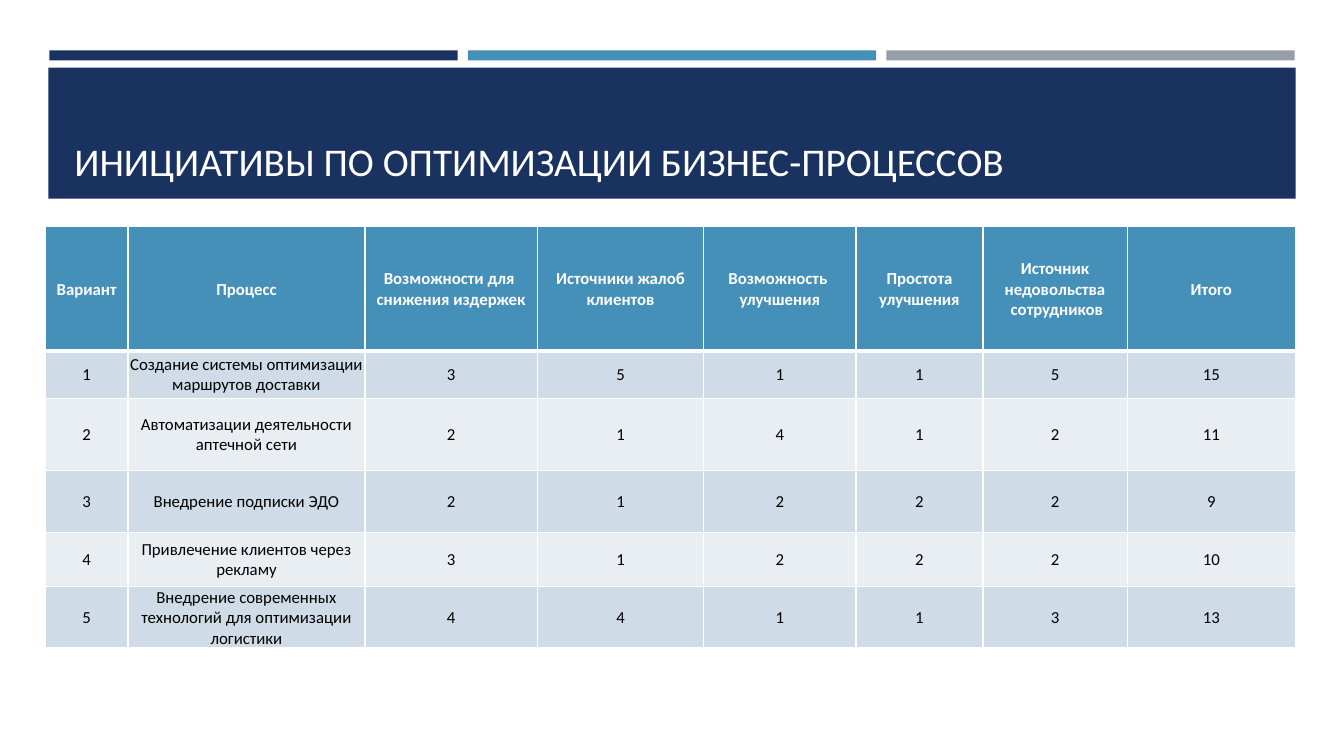
from lxml import etree
from pptx import Presentation
from pptx.dml.color import RGBColor
from pptx.enum.shapes import MSO_SHAPE
from pptx.enum.text import MSO_ANCHOR, PP_ALIGN
from pptx.oxml.ns import qn
from pptx.util import Inches, Pt

RECTANGLE = MSO_SHAPE.RECTANGLE
MIDDLE, BOTTOM = MSO_ANCHOR.MIDDLE, MSO_ANCHOR.BOTTOM
CENTER = PP_ALIGN.CENTER

TITLE = "ИНИЦИАТИВЫ ПО ОПТИМИЗАЦИИ БИЗНЕС-ПРОЦЕССОВ"
HEADER = [
    "Вариант", "Процесс", "Возможности для \vснижения издержек",
    "Источники жалоб\vклиентов", "Возможность \vулучшения",
    "Простота улучшения", "Источник недовольства\v сотрудников", "Итого",
]
INITIATIVES = [
    (1, "Создание системы оптимизации маршрутов доставки", 3, 5, 1, 1, 5, 15),
    (2, "Автоматизации деятельности аптечной сети", 2, 1, 4, 1, 2, 11),
    (3, "Внедрение подписки ЭДО", 2, 1, 2, 2, 2, 9),
    (4, "Привлечение клиентов через рекламу", 3, 1, 2, 2, 2, 10),
    (5, "Внедрение современных технологий для оптимизации логистики",
     4, 4, 1, 1, 3, 13),
]

FONT = "Calibri"
NAVY, BLUE, GRAY = "1A3260", "4590B8", "969FA7"
WHITE, BLACK = "FFFFFF", "000000"
BANDS = ["CFDBE6", "E9EEF3"]

COLUMN_WIDTHS = [0.82, 2.35, 1.71, 1.65, 1.51, 1.26, 1.43, 1.67]
ROW_HEIGHTS = [1.23, 0.47, 0.72, 0.61, 0.54, 0.61]
TABLE_LEFT, TABLE_TOP = 0.45, 2.25
STRIPE_LEFT, STRIPE_TOP, STRIPE_WIDTH, STRIPE_HEIGHT = 0.49, 0.5, 4.05, 0.1
STRIPE_STEP = 4.15
BANNER = (0.48, 0.67, 12.37, 1.3)
TITLE_AREA = (0.64, 0.77, 12.06, 1.11)
THIN, THICK = 1, 3


def color(value):
    return RGBColor.from_string(value)


def add_block(slide, area, fill):
    block = slide.shapes.add_shape(RECTANGLE, *map(Inches, area))
    block.shadow.inherit = False
    block.fill.solid()
    block.fill.fore_color.rgb = color(fill)
    block.line.fill.background()


def style_text(frame, size, text_color, bold=False):
    for paragraph in frame.paragraphs:
        for run in paragraph.runs:
            run.font.name = FONT
            run.font.size = Pt(size)
            run.font.bold = bold
            run.font.color.rgb = color(text_color)


def add_borders(cell, widths):
    """Draw white borders; widths maps L, R, T, B to points."""
    properties = cell._tc.get_or_add_tcPr()
    for side, width in widths.items():
        line = etree.SubElement(properties, qn(f"a:ln{side}"), w=str(Pt(width)))
        fill = etree.SubElement(line, qn("a:solidFill"))
        etree.SubElement(fill, qn("a:srgbClr"), val=WHITE)


def fill_cell(cell, value, row):
    is_header = row == 0
    cell.text_frame.text = str(value)
    cell.text_frame.paragraphs[0].alignment = CENTER
    style_text(cell.text_frame, 12, WHITE if is_header else BLACK, is_header)
    cell.vertical_anchor = MIDDLE
    cell.margin_left = cell.margin_right = cell.margin_top = Inches(0.01)
    cell.margin_bottom = 0
    add_borders(cell, {"L": THIN, "R": THIN,
                       "T": THICK if row == 1 else THIN,
                       "B": THICK if is_header else THIN})
    cell.fill.solid()
    cell.fill.fore_color.rgb = color(BLUE if is_header else BANDS[(row - 1) % 2])


def add_title(slide):
    title = slide.shapes.add_textbox(*map(Inches, TITLE_AREA)).text_frame
    title.word_wrap = True
    title.vertical_anchor = BOTTOM
    title.text = TITLE
    style_text(title, 28, WHITE)


def add_ratings(slide):
    rows = [HEADER, *INITIATIVES]
    area = (TABLE_LEFT, TABLE_TOP, sum(COLUMN_WIDTHS), sum(ROW_HEIGHTS))
    ratings = slide.shapes.add_table(
        len(rows), len(HEADER), *map(Inches, area)).table
    ratings.first_row = ratings.horz_banding = False
    for column, width in zip(ratings.columns, COLUMN_WIDTHS):
        column.width = Inches(width)
    for row, height in zip(ratings.rows, ROW_HEIGHTS):
        row.height = Inches(height)
    for r, values in enumerate(rows):
        for c, value in enumerate(values):
            fill_cell(ratings.cell(r, c), value, r)


def main():
    deck = Presentation()
    deck.slide_width, deck.slide_height = Inches(13.33), Inches(7.5)
    slide = deck.slides.add_slide(deck.slide_layouts[6])
    for i, fill in enumerate([NAVY, BLUE, GRAY]):
        left = STRIPE_LEFT + i * STRIPE_STEP
        add_block(slide, (left, STRIPE_TOP, STRIPE_WIDTH, STRIPE_HEIGHT), fill)
    add_block(slide, BANNER, NAVY)
    add_title(slide)
    add_ratings(slide)
    deck.save("out.pptx")


if __name__ == "__main__":
    main()
